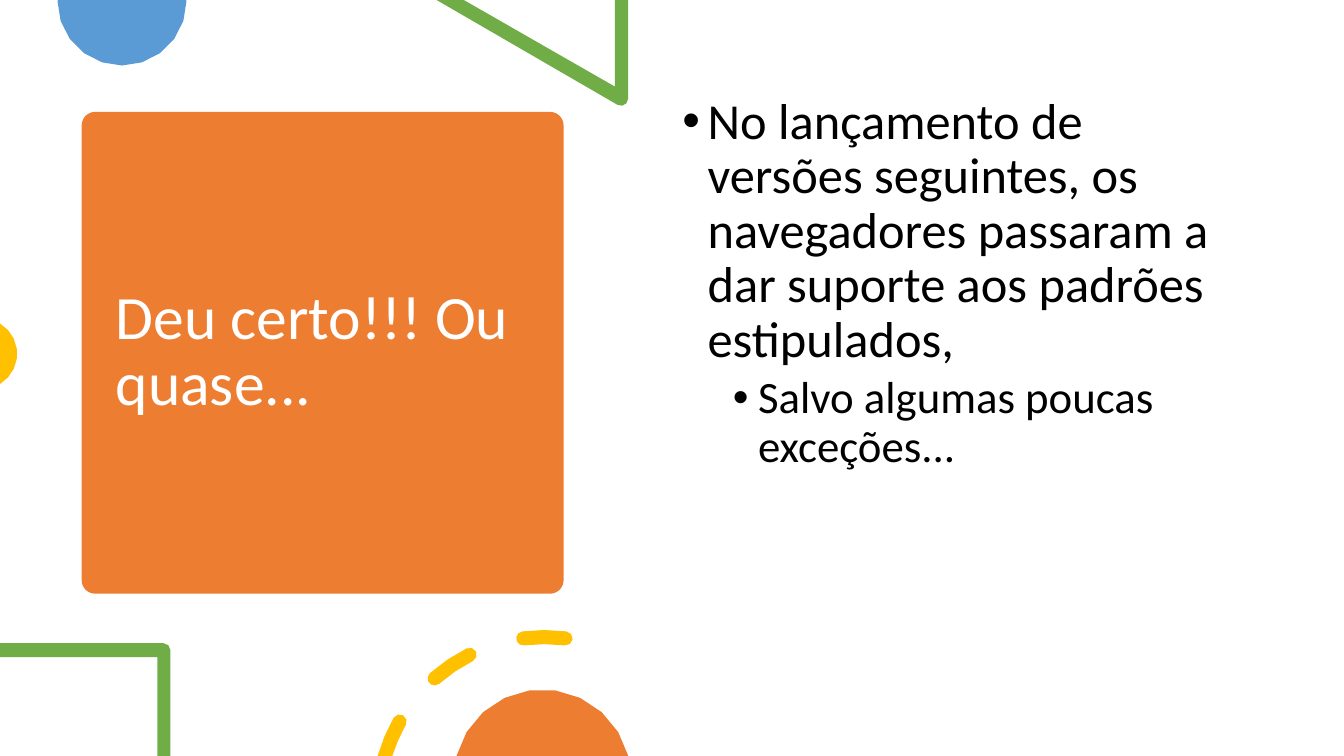
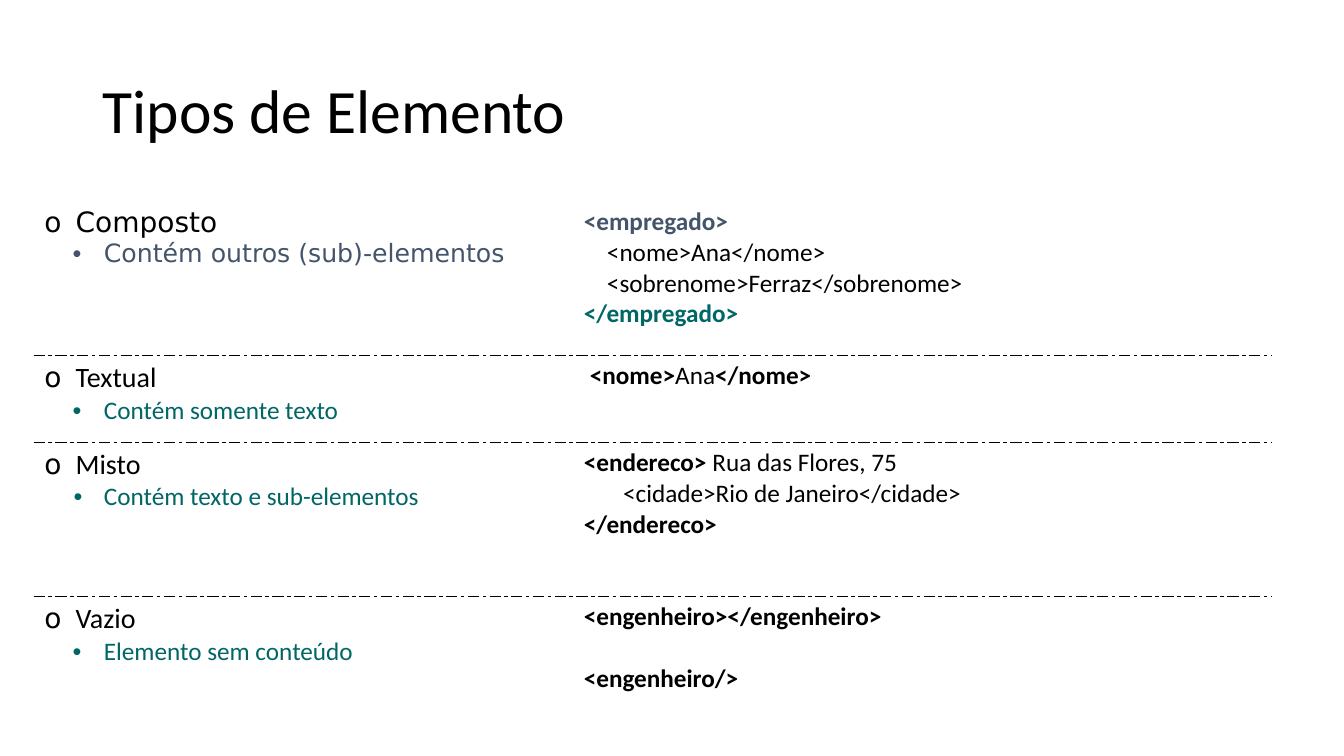
from dataclasses import dataclass
from math import ceil, cos, radians, sin

from lxml.etree import SubElement
from pptx import Presentation
from pptx.dml.color import RGBColor
from pptx.enum.shapes import MSO_SHAPE
from pptx.enum.text import MSO_ANCHOR
from pptx.oxml.ns import qn
from pptx.util import Inches, Pt


@dataclass(frozen=True)
class Theme:
    white: str = "FFFFFF"
    black: str = "000000"
    orange: str = "ED7D31"
    blue: str = "5B9BD5"
    green: str = "70AD47"
    gold: str = "FFC000"
    slate: str = "44546A"
    teal: str = "006666"
    face: str = "Calibri"
    alt: str = "DejaVu Sans"
    dot: str = "Arial"
    title: int = 44
    lead: int = 36
    sub: int = 32
    item: int = 20
    code: int = 18


T = Theme()


def arc(mid, rad, start, end):
    """Points along an arc, in inches; angles run clockwise from the right."""
    step = 45 if rad < 0.1 else 18
    count = max(2, ceil(abs(end - start) / step))
    turns = [radians(start + (end - start) * i / count) for i in range(count + 1)]
    return [(mid[0] + rad * cos(t), mid[1] + rad * sin(t)) for t in turns]


def write(par, runs, size, color, face=T.face, left=0, hang=0, mark=None):
    """Fill a paragraph with (text, bold) runs and an optional bullet."""
    prop = par._p.get_or_add_pPr()
    prop.set("marL", str(Inches(left)))
    prop.set("indent", str(Inches(-hang)))
    if mark:
        SubElement(prop, qn("a:buFont")).set("typeface", T.alt if mark == "o" else T.dot)
        SubElement(prop, qn("a:buChar")).set("char", mark)
    par.font.size = Pt(size)
    par.font.name = face
    par.font.color.rgb = RGBColor.from_string(color)
    for text, bold in runs:
        run = par.add_run()
        run.text = text
        if bold:
            run.font.bold = True


deck = Presentation()
deck.slide_width, deck.slide_height = Inches(13.33), Inches(7.5)
first, second = [deck.slides.add_slide(deck.slide_layouts[6]) for _ in range(2)]

# Orange card behind the first title
card = first.shapes.add_shape(
    MSO_SHAPE.ROUNDED_RECTANGLE, Inches(0.81), Inches(1.11), Inches(4.78), Inches(4.78))
card.adjustments[0] = 0.028
card.shadow.inherit = False
card.fill.solid()
card.fill.fore_color.rgb = RGBColor.from_string(T.orange)
card.line.fill.background()

# Titles
for slide, text, color, place in [
    (first, "Deu certo!!! Ou quase...", T.white, (1.05, 1.22, 4.31, 4.56)),
    (second, "Tipos de Elemento", T.black, (0.92, 0.4, 11.5, 1.45)),
]:
    frame = slide.shapes.add_textbox(*map(Inches, place)).text_frame
    frame.word_wrap = True
    frame.vertical_anchor = MSO_ANCHOR.MIDDLE
    write(frame.paragraphs[0], [(text, False)], T.title, color)
    frame.paragraphs[0].line_spacing = 0.9

# Dashes of the gold ring, with round ends; the first is cut by the slide edge
hub, ring, half = (5.4, 7.97), 1.65, 0.07
dashes = []
for outer, inner, end, cut in [
    (195.9, 197.3, 209.5, True),
    (228.7, 228.7, 243.3, False),
    (262.7, 262.7, 277.3, False),
]:
    tip = arc(hub, ring, end, end)[0]
    dash = arc(hub, ring + half, outer, end) + arc(tip, half, end, end + 180)[1:]
    dash += arc(hub, ring - half, end, inner)[1:]
    if not cut:
        tail = arc(hub, ring, outer, outer)[0]
        dash += arc(tail, half, outer + 180, outer + 360)[1:-1]
    dashes.append(dash)

# Shapes cut off by the slide edge: colour and outlines
for color, loops in [
    (T.blue, [arc((1.21, 0.01), 0.64, 0, 180) + [(0.58, 0), (1.84, 0)]]),
    (T.green, [[(4.33, 0), (4.6, 0), (6.1, 0.86), (6.1, 0), (6.23, 0)]
               + arc((6.16, 0.98), 0.07, 0, 120)]),
    (T.gold, [arc((-0.18, 3.51), 0.35, -59, 59)]),
    (T.green, [[(0, 6.38)] + arc((1.62, 6.45), 0.07, 270, 360)
               + [(1.69, 7.5), (1.56, 7.5), (1.56, 6.52), (0, 6.52)]]),
    (T.gold, dashes),
    (T.orange, [arc((5.38, 7.72), 0.88, 194.5, 345.5)]),
]:
    pen = None
    for points in loops:
        points = [(Inches(x), Inches(y)) for x, y in points]
        if pen is None:
            pen = first.shapes.build_freeform(*points[0])
        else:
            pen.move_to(*points[0])
        pen.add_line_segments(points[1:], close=True)
    shape = pen.convert_to_shape()
    shape.shadow.inherit = False
    shape.fill.solid()
    shape.fill.fore_color.rgb = RGBColor.from_string(color)
    shape.line.fill.background()

# Body of the first slide
frame = first.shapes.add_textbox(
    Inches(6.67), Inches(0.9), Inches(5.75), Inches(5.35)).text_frame
frame.word_wrap = True
for i, (text, size, left, gap) in enumerate([
    ("No lançamento de versões seguintes, os navegadores passaram a dar suporte "
     "aos padrões estipulados,", T.lead, 0.25, 10),
    ("Salvo algumas poucas exceções...", T.sub, 0.75, 5),
]):
    par = frame.add_paragraph() if i else frame.paragraphs[0]
    write(par, [(text, False)], size, T.black, left=left, hang=0.25, mark="•")
    par.line_spacing = 0.9
    par.space_before = Pt(gap)

# Element kinds: height, name, note, note colour, font, note indent,
# code lines as (indent, space before, colour, runs)
kinds = [
    (1.53, "Composto", "Contém outros (sub)-elementos", T.slate, T.alt, 0.31, [
        (0, 0, T.slate, [("<empregado>", True)]),
        (0.23, 0, T.black, [("<nome>Ana</nome>", False)]),
        (0.23, 0, T.black, [("<sobrenome>Ferraz</sobrenome>", False)]),
        (0, 0, T.teal, [("</empregado>", True)])]),
    (0.86, "Textual", "Contém somente texto", T.teal, T.face, 0.31, [
        (0.06, 0, T.black, [("<nome>", True), ("Ana", False), ("</nome>", True)])]),
    (1.53, "Misto", "Contém texto e sub-elementos", T.teal, T.face, 0.3, [
        (0, 0, T.black, [("<endereco> ", True), ("Rua das Flores, 75", False)]),
        (0.39, 0, T.black, [("<cidade>Rio de Janeiro</cidade>", False)]),
        (0, 0, T.black, [("</endereco>", True)])]),
    (1.18, "Vazio", "Elemento sem conteúdo", T.teal, T.face, 0.31, [
        (0, 0, T.black, [("<engenheiro></engenheiro>", True)]),
        (0, 22, T.black, [("<engenheiro/>", True)])]),
]
table = second.shapes.add_table(
    len(kinds), 2, Inches(0.34), Inches(2), Inches(12.26), Inches(5.1)).table
table.first_row = table.horz_banding = False
table.columns[0].width, table.columns[1].width = Inches(5.35), Inches(6.91)

for row, (high, name, note, color, face, hang, lines) in enumerate(kinds):
    table.rows[row].height = Inches(high)
    label, code = table.cell(row, 0), table.cell(row, 1)

    # Dashed rules between rows, white cells
    sides = ["a:lnT"] * (row > 0) + ["a:lnB"] * (row < len(kinds) - 1)
    for cell in (label, code):
        prop = cell._tc.get_or_add_tcPr()
        for side in sides:
            rule = SubElement(prop, qn(side), w=str(Pt(1)))
            paint = SubElement(rule, qn("a:solidFill"))
            SubElement(paint, qn("a:srgbClr"), val=T.black)
            SubElement(rule, qn("a:prstDash"), val="sysDashDot")
        cell.fill.solid()
        cell.fill.fore_color.rgb = RGBColor.from_string(T.white)

    # Name and note
    frame = label.text_frame
    write(frame.paragraphs[0], [(name, False)], T.item, T.black, face, 0.31, 0.31, "o")
    write(frame.add_paragraph(), [(note, False)], T.code, color, face, 0.59, hang, "•")

    # Sample code
    frame = code.text_frame
    for i, (left, gap, color, runs) in enumerate(lines):
        par = frame.add_paragraph() if i else frame.paragraphs[0]
        write(par, runs, T.code, color, left=left)
        par.space_before = Pt(gap)

deck.save("out.pptx")
